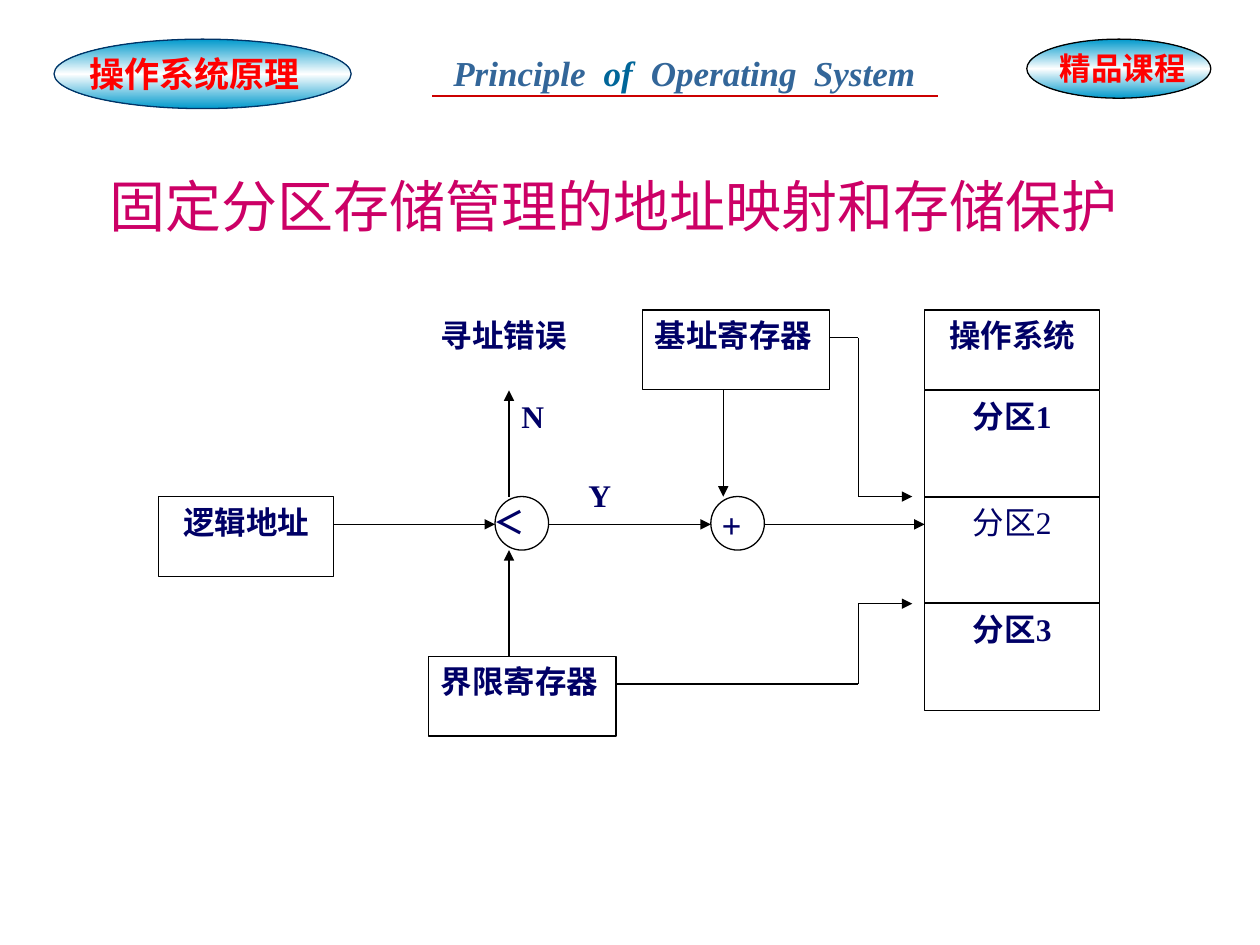
from copy import deepcopy
from typing import NamedTuple

from lxml.etree import SubElement
from pptx import Presentation
from pptx.dml.color import RGBColor
from pptx.enum.shapes import MSO_CONNECTOR, MSO_SHAPE
from pptx.enum.text import MSO_ANCHOR, PP_ALIGN
from pptx.oxml.ns import qn
from pptx.util import Cm, Pt

NAVY = "000066"
RED = "FF0000"
BLACK = "000000"
SERIF = "Times New Roman"
SANS = "Arial"


class Area(NamedTuple):
    """Left, top, width and height in centimetres."""
    left: float
    top: float
    width: float
    height: float


class Span(NamedTuple):
    text: str
    size: float = 18
    color: str = NAVY
    bold: bool = True
    italic: bool = False
    font: str = SERIF


class Box(NamedTuple):
    area: Area
    span: Span
    align: PP_ALIGN = PP_ALIGN.CENTER


class Badge(NamedTuple):
    oval: Area
    outline: str
    label: Area
    span: Span


class Line(NamedTuple):
    start: tuple[float, float]
    end: tuple[float, float]
    arrow: bool = False
    color: str = BLACK
    width: float = 0.75


def rgb(value: str) -> RGBColor:
    return RGBColor.from_string(value)


def lengths(area: Area) -> list[Cm]:
    return [Cm(value) for value in area]


def write(shape, spans: list[Span], align=PP_ALIGN.LEFT, tabs=()) -> None:
    """Fill the first paragraph; tabs are stop positions in centimetres."""
    frame = shape.text_frame
    frame.word_wrap = True
    frame.vertical_anchor = MSO_ANCHOR.TOP
    para = frame.paragraphs[0]
    para.alignment = align
    if tabs:
        stops = SubElement(para._p.get_or_add_pPr(), qn("a:tabLst"))
        for position in tabs:
            SubElement(stops, qn("a:tab"), pos=str(Cm(position)), algn="l")
    for span in spans:
        run = para.add_run()
        run.text = span.text
        run.font.name = span.font
        run.font.size = Pt(span.size)
        run.font.bold = span.bold
        run.font.italic = span.italic
        run.font.color.rgb = rgb(span.color)


def add_label(page, box: Box, tabs=()) -> None:
    write(page.shapes.add_textbox(*lengths(box.area)), [box.span], box.align, tabs)


def add_outline(page, kind: MSO_SHAPE, area: Area, color: str = BLACK):
    shape = page.shapes.add_shape(kind, *lengths(area))
    shape.shadow.inherit = False
    shape.fill.background()
    shape.line.color.rgb = rgb(color)
    shape.line.width = Pt(0.75)
    return shape


def add_badge(page, badge: Badge) -> None:
    oval = add_outline(page, MSO_SHAPE.OVAL, badge.oval, badge.outline)
    oval.fill.gradient()
    oval.fill.gradient_angle = 90
    stop_list = oval._element.spPr.find(qn("a:gradFill")).find(qn("a:gsLst"))
    stop_list.insert(1, deepcopy(stop_list[0]))
    colors = ("0099CC", "FFFFFF", "0099CC")
    for stop, position, color in zip(oval.fill.gradient_stops, (0, 0.5, 1), colors):
        stop.position = position
        stop.color.rgb = rgb(color)
    add_label(page, Box(badge.label, badge.span, PP_ALIGN.LEFT))


def add_line(page, line: Line) -> None:
    points = [Cm(value) for value in (*line.start, *line.end)]
    connector = page.shapes.add_connector(MSO_CONNECTOR.STRAIGHT, *points)
    connector.line.color.rgb = rgb(line.color)
    connector.line.width = Pt(line.width)
    properties = connector._element.spPr
    if line.arrow:
        SubElement(properties.find(qn("a:ln")), qn("a:tailEnd"), type="triangle")
    SubElement(properties, qn("a:effectLst"))


BADGES = [
    Badge(Area(1.09, 0.79, 5.99, 1.4), "003366", Area(1.55, 0.94, 5, 1.12),
          Span("操作系统原理", 20, RED)),
    Badge(Area(20.7, 0.79, 3.71, 1.19), BLACK, Area(21.11, 0.86, 3.5, 1.02),
          Span("精品课程", 18, RED, font=SANS)),
]

# Levels and columns of the diagram, in centimetres
TOP, PARTITION_1, PARTITION_2, PARTITION_3 = 6.25, 7.87, 10.01, 12.17
FLOW, LIMIT_TOP, LIMIT_EXIT, BASE_EXIT = 10.57, 13.23, 13.79, 6.81
CIRCLE, LOW = 1.08, 1.61
LOGICAL, LIMIT, COMPARE, BASE, ADD, MEMORY = 3.2, 8.64, 9.98, 12.95, 14.33, 18.64
MEMORY_WIDTH, REGISTER_WIDTH, TALL = 3.53, 3.78, 2.15
ERROR_X, BASE_X, BEND_X, BOUND_X = 10.26, 14.58, 17.3, 18.39

BOXES = [
    Box(Area(LOGICAL, PARTITION_2, MEMORY_WIDTH, LOW), Span("逻辑地址")),
    Box(Area(LIMIT, LIMIT_TOP, REGISTER_WIDTH, LOW), Span("界限寄存器"), PP_ALIGN.JUSTIFY),
    Box(Area(BASE, TOP, REGISTER_WIDTH, LOW), Span("基址寄存器"), PP_ALIGN.JUSTIFY),
    Box(Area(MEMORY, TOP, MEMORY_WIDTH, LOW), Span("操作系统")),
    Box(Area(MEMORY, PARTITION_1, MEMORY_WIDTH, TALL), Span("分区1")),
    Box(Area(MEMORY, PARTITION_2, MEMORY_WIDTH, TALL), Span("分区2", bold=False)),
    Box(Area(MEMORY, PARTITION_3, MEMORY_WIDTH, TALL), Span("分区3")),
]

LABELS = [
    Box(Area(9.7, PARTITION_2, 2.16, 1.73), Span("＜"), PP_ALIGN.JUSTIFY),
    Box(Area(11.61, 9.47, 1.63, LOW), Span("Y"), PP_ALIGN.JUSTIFY),
    Box(Area(ERROR_X, PARTITION_1, 2.16, LOW), Span("N"), PP_ALIGN.JUSTIFY),
    Box(Area(LIMIT, TOP, 3.25, LOW), Span("寻址错误"), PP_ALIGN.JUSTIFY),
    Box(Area(14.3, 10.03, 1.4, 1.12), Span("+", 20), PP_ALIGN.LEFT),
]

LINES = [
    Line((LOGICAL + MEMORY_WIDTH, FLOW), (COMPARE, FLOW), True),
    Line((COMPARE + CIRCLE, FLOW), (ADD, FLOW), True),
    Line((ADD + CIRCLE, FLOW), (MEMORY, FLOW), True),
    Line((LIMIT + REGISTER_WIDTH, LIMIT_EXIT), (BEND_X, LIMIT_EXIT)),
    Line((BEND_X, LIMIT_EXIT), (BEND_X, PARTITION_3)),
    Line((BEND_X, PARTITION_3), (BOUND_X, PARTITION_3), True),
    Line((BASE + REGISTER_WIDTH, BASE_EXIT), (BEND_X, BASE_EXIT)),
    Line((BEND_X, BASE_EXIT), (BEND_X, PARTITION_2)),
    Line((BEND_X, PARTITION_2), (BOUND_X, PARTITION_2), True),
    Line((ERROR_X, LIMIT_TOP), (ERROR_X, PARTITION_2 + CIRCLE), True),
    Line((ERROR_X, PARTITION_2), (ERROR_X, PARTITION_1), True),
    Line((BASE_X, PARTITION_1), (BASE_X, PARTITION_2), True),
]


def add_header(page) -> None:
    for badge in BADGES:
        add_badge(page, badge)
    course = page.shapes.add_textbox(*lengths(Area(8.89, 0.91, 10.2, 1.12)))
    words = [("Principle", "336699"), ("\tof", "006699"), ("\tOperating\tSystem", "336699")]
    spans = [Span(text, 20, color, italic=True) for text, color in words]
    write(course, spans, tabs=(3.03, 3.98, 7.27))
    add_line(page, Line((8.71, 1.93), (18.9, 1.93), color="CC0000", width=1))


def add_title(page) -> None:
    title = page.shapes.title
    title.left, title.top, title.width, title.height = lengths(Area(1.95, 3.33, 21.04, 1.63))
    write(title, [Span("固定分区存储管理的地址映射和存储保护", 32, "CC0066", False, font=SANS)])


def add_diagram(page) -> None:
    for box in BOXES:
        shape = add_outline(page, MSO_SHAPE.RECTANGLE, box.area)
        write(shape, [box.span], box.align)
    for kind, left in ((MSO_SHAPE.FLOWCHART_CONNECTOR, COMPARE), (MSO_SHAPE.OVAL, ADD)):
        add_outline(page, kind, Area(left, PARTITION_2, CIRCLE, CIRCLE))
    for line in LINES:
        add_line(page, line)
    for label in LABELS:
        add_label(page, label)


def main() -> None:
    deck = Presentation()
    deck.slide_width, deck.slide_height = Cm(25.4), Cm(19.05)
    page = deck.slides.add_slide(deck.slide_layouts[5])
    add_header(page)
    add_title(page)
    add_diagram(page)
    deck.save("out.pptx")


if __name__ == "__main__":
    main()
